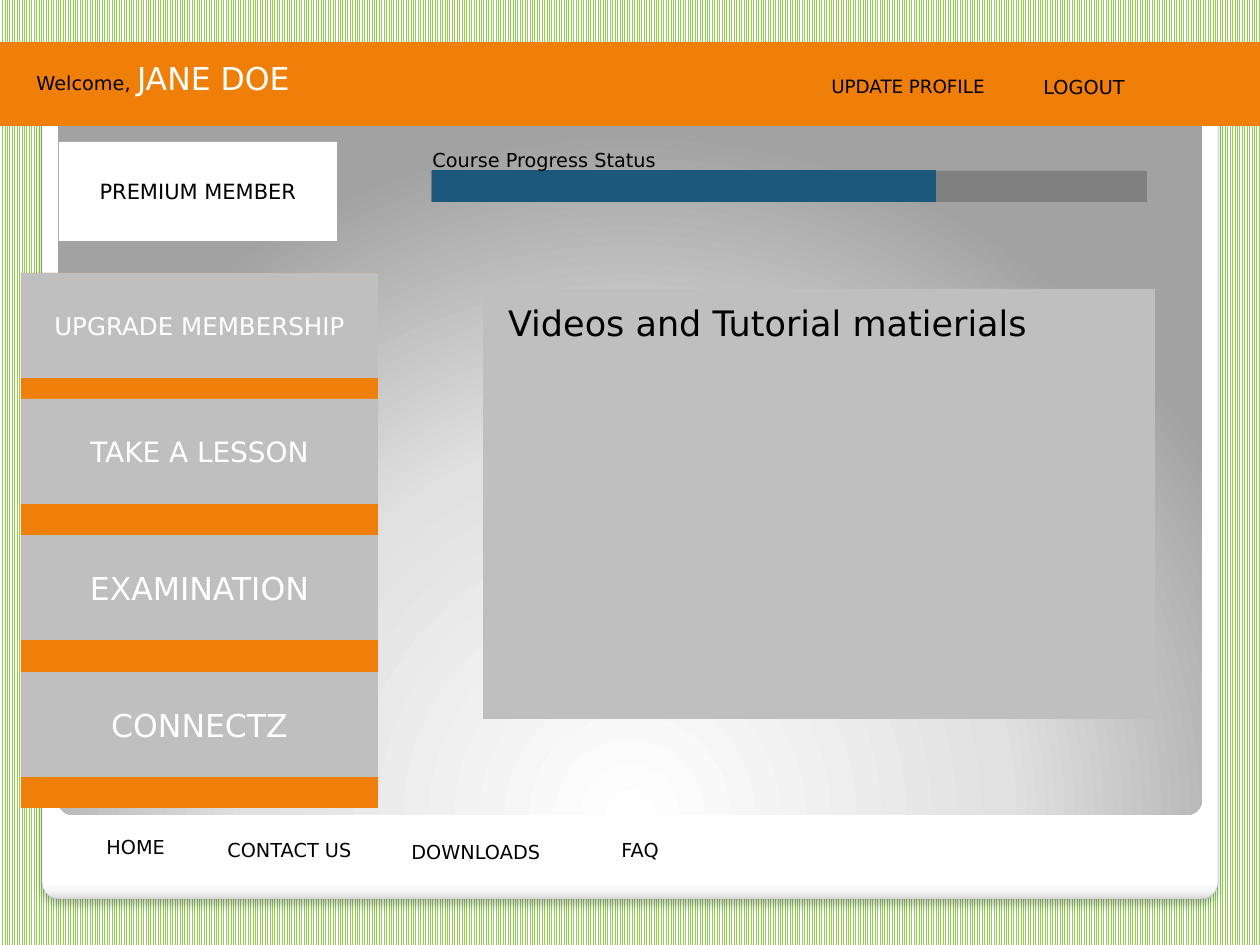
"""Build a member dashboard slide for an online course."""
import lxml.etree
import pptx
import pptx.dml.color
import pptx.enum.dml
import pptx.enum.shapes
import pptx.enum.text
import pptx.oxml
import pptx.oxml.ns
import pptx.util

SCALE = 914400 / 126
FONT = "DejaVu Sans"
ORANGE, SILVER, WHITE, BLACK = "F07F09", "BFBFBF", "FFFFFF", "000000"
SHAPE = pptx.enum.shapes.MSO_SHAPE
ANCHOR = pptx.enum.text.MSO_ANCHOR
ALIGN = pptx.enum.text.PP_ALIGN
GROW = pptx.enum.text.MSO_AUTO_SIZE.SHAPE_TO_FIT_TEXT
LINEAR = '<a:lin ang="5400000" scaled="0"/>'
CIRCLE = ('<a:path path="circle"><a:fillToRect l="50000" t="175000" '
          'r="50000" b="-75000"/></a:path>')


def px(n):
    """Turn pixels into EMU."""
    return pptx.util.Emu(round(n * SCALE))


def rgb(color):
    """Turn a hex string into a colour."""
    return pptx.dml.color.RGBColor.from_string(color)


def set_all(obj, values):
    """Set attributes from a dict of format values."""
    for name, value in values.items():
        setattr(obj, name, value)


def write(tf, runs, frame=None, para=None):
    """Write (text, size, colour) runs into one paragraph."""
    set_all(tf, {"word_wrap": True, **(frame or {})})
    p = tf.paragraphs[0]
    set_all(p, {"alignment": ALIGN.LEFT, **(para or {})})
    for text, size, color in runs:
        r = p.add_run()
        r.text = text
        set_all(r.font, {"name": FONT, "size": pptx.util.Pt(size)})
        r.font.color.rgb = rgb(color)


def block(slide, box, color, kind=SHAPE.RECTANGLE):
    """Add a solid shape with no line and no shadow."""
    sp = slide.shapes.add_shape(kind, *map(px, box))
    sp.shadow.inherit = False
    sp.fill.solid()
    sp.fill.fore_color.rgb = rgb(color)
    sp.line.fill.background()
    return sp


def button(slide, box, color, run):
    """Add a block with a centred label."""
    sp = block(slide, box, color)
    write(sp.text_frame, [run], {"vertical_anchor": ANCHOR.MIDDLE},
          {"alignment": ALIGN.CENTER})


def label(slide, box, runs, wrap=True):
    """Add a text box that grows with its text."""
    sp = slide.shapes.add_textbox(*map(px, box))
    write(sp.text_frame, runs, {"word_wrap": wrap, "auto_size": GROW})


def gradient_panel(slide, box, stops, direction):
    """Add a slightly rounded panel with a gradient fill."""
    sp = block(slide, box, WHITE, SHAPE.ROUNDED_RECTANGLE)
    sp.adjustments[0] = 0.02
    marks = "".join(f'<a:gs pos="{pos * 1000}"><a:srgbClr val="{color}"/></a:gs>'
                    for pos, color in stops)
    grad = pptx.oxml.parse_xml(
        f'<a:gradFill {pptx.oxml.ns.nsdecls("a")} rotWithShape="1">'
        f'<a:gsLst>{marks}</a:gsLst>{direction}</a:gradFill>')
    spPr = sp._element.spPr
    spPr.replace(spPr.find(pptx.oxml.ns.qn("a:solidFill")), grad)
    return sp


def drop_shadow(sp, color, alpha, blur, dist):
    """Give a shape a soft shadow below it."""
    qn = pptx.oxml.ns.qn
    effects = sp._element.spPr.find(qn("a:effectLst"))
    shadow = lxml.etree.SubElement(
        effects, qn("a:outerShdw"), blurRad=str(pptx.util.Pt(blur)),
        dist=str(pptx.util.Pt(dist)), dir="5400000", algn="t", rotWithShape="0")
    tint = lxml.etree.SubElement(shadow, qn("a:srgbClr"), val=color)
    lxml.etree.SubElement(tint, qn("a:alpha"), val=str(alpha * 1000))


def backdrop(slide):
    """Draw the striped background and the two page panels."""
    fill = slide.background.fill
    fill.patterned()
    fill.pattern = pptx.enum.dml.MSO_PATTERN.NARROW_VERTICAL
    fill.fore_color.rgb = rgb("92D050")
    fill.back_color.rgb = rgb(WHITE)
    card = gradient_panel(slide, (42, 45, 1176, 854), [
        (0, WHITE), (98, WHITE), (99, "F7F7F7"), (100, "DADADA")], LINEAR)
    card.line.color.rgb = rgb("A4A4A4")
    card.line.width = pptx.util.Pt(0.16)
    drop_shadow(card, BLACK, 25, 6, 4)
    gradient_panel(slide, (58, 59, 1144, 756), [
        (0, WHITE), (55, "E1E1E1"), (100, "A2A2A2")], CIRCLE)


def main():
    """Build and save the slide."""
    prs = pptx.Presentation()
    set_all(prs, {"slide_width": px(1260), "slide_height": px(945)})
    slide = prs.slides.add_slide(prs.slide_layouts[6])
    backdrop(slide)

    videos = block(slide, (483, 289, 672, 430), SILVER)
    write(videos.text_frame, [("Videos and Tutorial matierials", 20, BLACK)],
          {"margin_left": px(25), "margin_top": px(13),
           "vertical_anchor": ANCHOR.TOP},
          {"space_before": pptx.util.Pt(2.5)})

    block(slide, (0, 42, 1260, 84), ORANGE)
    block(slide, (21, 273, 357, 535), ORANGE)
    for top, text, size in [(273, "UPGRADE MEMBERSHIP", 14),
                            (399, "TAKE A LESSON", 16),
                            (535, "EXAMINATION", 18),
                            (672, "CONNECTZ", 18)]:
        button(slide, (21, top, 357, 105), SILVER, (text, size, WHITE))

    label(slide, (24, 53, 291, 50),
          [("Welcome, ", 11, BLACK), ("JANE DOE", 18, WHITE)])
    block(slide, (431, 171, 716, 31), "808080")
    block(slide, (432, 170, 504, 32), "1B587C")
    label(slide, (420, 142, 253, 36),
          [("Course Progress Status", 11, BLACK)], wrap=False)
    for left, top, width, text, size in [
            (819, 69, 189, "UPDATE PROFILE", 10.5),
            (1031, 69, 229, "LOGOUT", 11),
            (94, 829, 325, "HOME", 11),
            (215, 832, 325, "CONTACT US", 11),
            (399, 834, 189, "DOWNLOADS", 11),
            (609, 832, 189, "FAQ", 11)]:
        label(slide, (left, top, width, 36), [(text, size, BLACK)])
    button(slide, (59, 142, 278, 99), WHITE, ("PREMIUM MEMBER", 12, BLACK))
    prs.save("out.pptx")


main()
